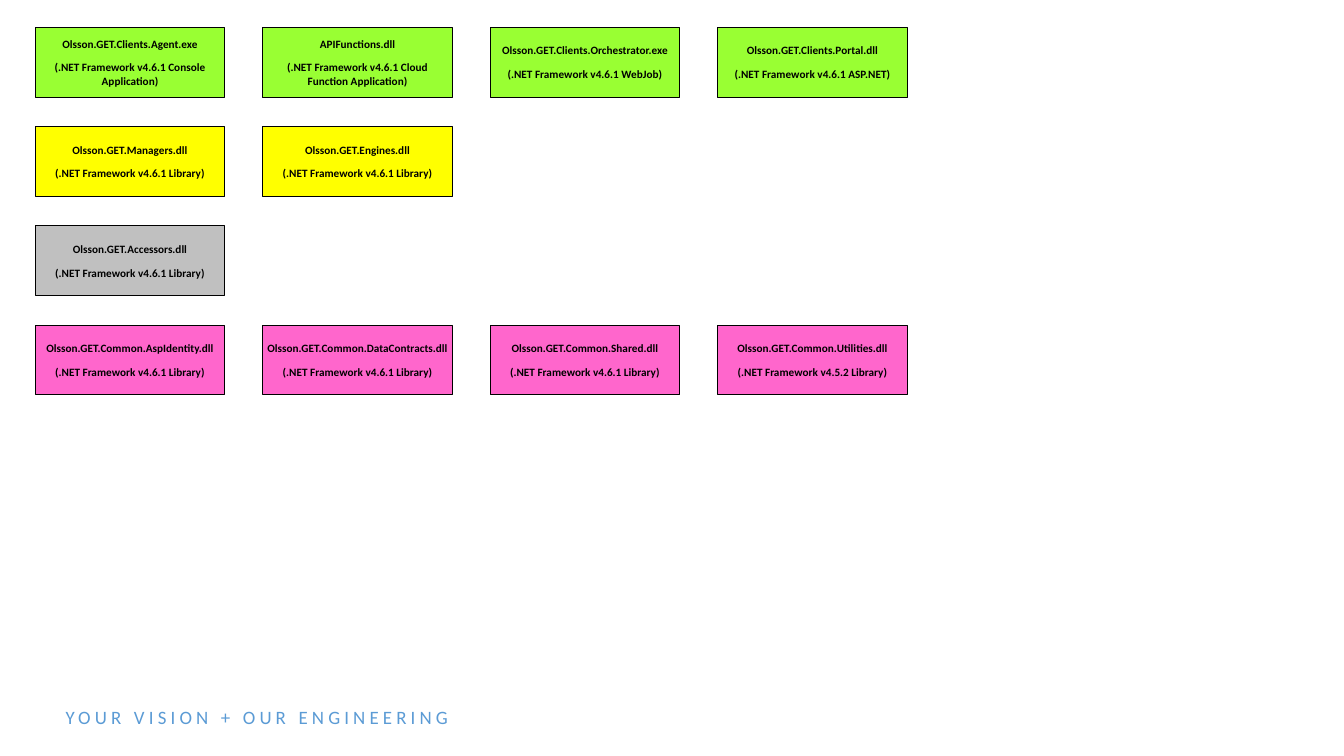
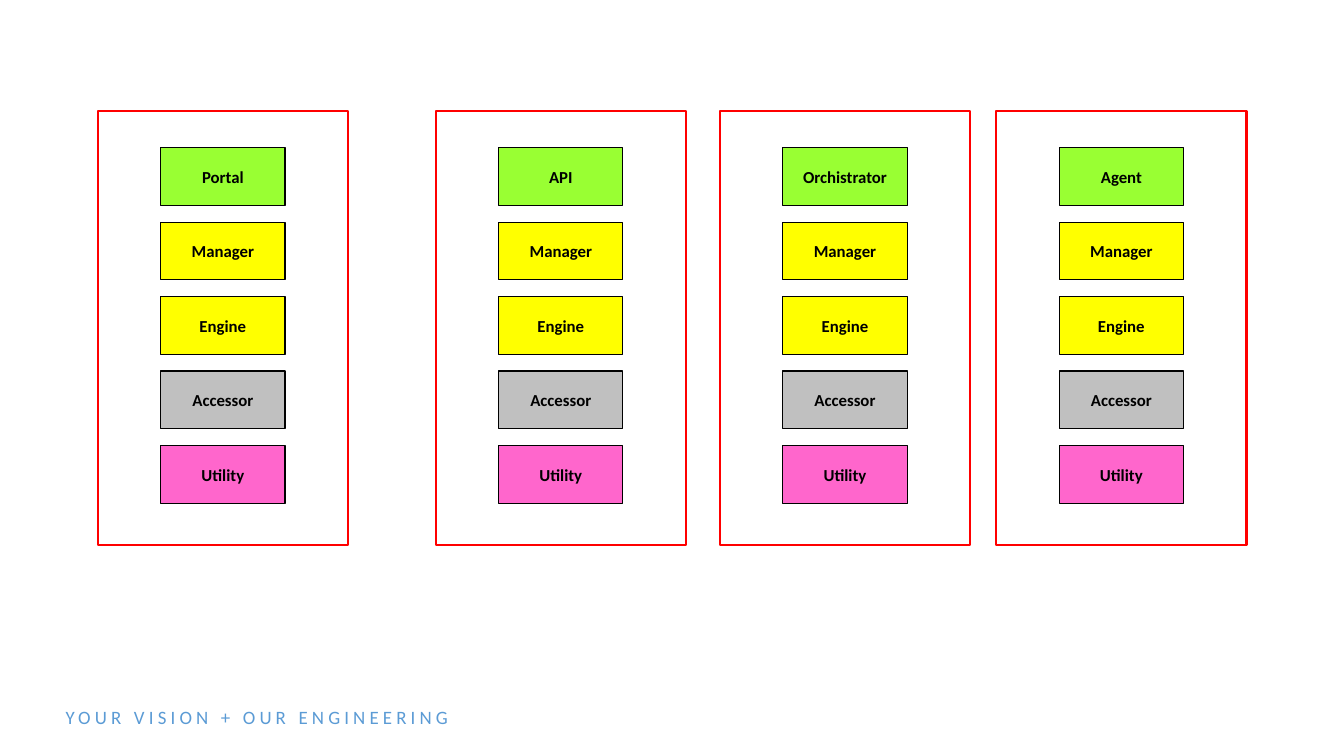
from dataclasses import dataclass

from pptx import Presentation
from pptx.dml.color import RGBColor
from pptx.enum.shapes import MSO_SHAPE as Preset
from pptx.enum.text import MSO_ANCHOR as Anchor, MSO_AUTO_SIZE as AutoSize, PP_ALIGN as Align
from pptx.shapes.autoshape import Shape
from pptx.shapes.shapetree import _BaseGroupShapes as ShapeTree
from pptx.slide import Slide
from pptx.text.text import _Paragraph as Paragraph
from pptx.util import Pt

GREEN = RGBColor(0x99, 0xFF, 0x33)
YELLOW = RGBColor(0xFF, 0xFF, 0x00)
GRAY = RGBColor(0xC0, 0xC0, 0xC0)
PINK = RGBColor(0xFF, 0x66, 0xCC)
BLACK = RGBColor(0x00, 0x00, 0x00)
RED = RGBColor(0xFF, 0x00, 0x00)
BLUE = RGBColor(0x5B, 0x9B, 0xD5)
FONT = "Calibri"
TAGLINE = "YOUR VISION + OUR ENGINEERING"
LIBRARY = "(.NET Framework v4.6.1 Library)"


@dataclass(frozen=True)
class Area:
    left: float
    top: float
    width: float
    height: float


@dataclass(frozen=True)
class Assembly:
    file_name: str
    target: str = LIBRARY


@dataclass(frozen=True)
class Layer:
    color: RGBColor
    assemblies: tuple[Assembly, ...]
    wrap: bool = True


@dataclass(frozen=True)
class Stack:
    client: str
    left: float


LAYERS = (
    Layer(GREEN, (
        Assembly("Olsson.GET.Clients.Agent.exe", "(.NET Framework v4.6.1 Console Application)"),
        Assembly("APIFunctions.dll", "(.NET Framework v4.6.1 Cloud Function Application)"),
        Assembly("Olsson.GET.Clients.Orchestrator.exe", "(.NET Framework v4.6.1 WebJob)"),
        Assembly("Olsson.GET.Clients.Portal.dll", "(.NET Framework v4.6.1 ASP.NET)"),
    )),
    Layer(YELLOW, (Assembly("Olsson.GET.Managers.dll"), Assembly("Olsson.GET.Engines.dll"))),
    Layer(GRAY, (Assembly("Olsson.GET.Accessors.dll"),)),
    Layer(PINK, (
        Assembly("Olsson.GET.Common.AspIdentity.dll"),
        Assembly("Olsson.GET.Common.DataContracts.dll"),
        Assembly("Olsson.GET.Common.Shared.dll"),
        Assembly("Olsson.GET.Common.Utilities.dll", "(.NET Framework v4.5.2 Library)"),
    ), wrap=False),
)
LAYER_GRID = Area(25.2, 19.6, 135.4, 49.8)
LAYER_COLUMN_STEP = 162.5
LAYER_ROW_STEP = 70.9

STACKS = (
    Stack("Portal", 69.8),
    Stack("API", 311.2),
    Stack("Orchistrator", 514.2),
    Stack("Agent", 711.6),
)
SHARED_PARTS = (("Manager", YELLOW), ("Engine", YELLOW), ("Accessor", GRAY), ("Utility", PINK))
FRAME_TOP, FRAME_WIDTH, FRAME_HEIGHT = 79.2, 178.8, 310.2
PART_TOP, PART_WIDTH, PART_HEIGHT, PART_STEP = 105.4, 88.8, 41.2, 53.2


def add_text(paragraph: Paragraph, text: str, size: float, color: RGBColor, bold: bool = False):
    run = paragraph.add_run()
    run.text = text
    run.font.name = FONT
    run.font.size = Pt(size)
    run.font.bold = bold
    run.font.color.rgb = color
    return run


def add_rectangle(shapes: ShapeTree, area: Area, line: RGBColor, weight: float) -> Shape:
    shape = shapes.add_shape(
        Preset.RECTANGLE, Pt(area.left), Pt(area.top), Pt(area.width), Pt(area.height)
    )
    shape.shadow.inherit = False
    shape.fill.background()
    shape.line.color.rgb = line
    shape.line.width = Pt(weight)
    return shape


def add_box(shapes: ShapeTree, area: Area, color: RGBColor, lines: tuple[str, ...],
            size: float, wrap: bool = True) -> None:
    shape = add_rectangle(shapes, area, BLACK, 0.75)
    shape.fill.solid()
    shape.fill.fore_color.rgb = color
    frame = shape.text_frame
    frame.word_wrap = wrap
    frame.vertical_anchor = Anchor.MIDDLE
    for index, text in enumerate(lines):
        paragraph = frame.add_paragraph() if index else frame.paragraphs[0]
        paragraph.alignment = Align.CENTER
        if index:
            paragraph.space_before = Pt(7.3)
        add_text(paragraph, text, size, BLACK, bold=True)


def add_tagline(slide: Slide) -> None:
    frame = slide.shapes.add_textbox(Pt(46.8), Pt(503.3), Pt(666), Pt(17.3)).text_frame
    frame.margin_left = frame.margin_top = frame.margin_right = frame.margin_bottom = 0
    frame.word_wrap = True
    frame.auto_size = AutoSize.SHAPE_TO_FIT_TEXT
    frame.vertical_anchor = Anchor.MIDDLE
    run = add_text(frame.paragraphs[0], TAGLINE, 13.5, BLUE)
    run._r.get_or_add_rPr().set("spc", "300")


def add_slide(presentation: Presentation) -> Slide:
    slide = presentation.slides.add_slide(presentation.slide_layouts[6])
    add_tagline(slide)
    return slide


def draw_layers(slide: Slide) -> None:
    for row, layer in enumerate(LAYERS):
        for column, assembly in enumerate(layer.assemblies):
            area = Area(
                LAYER_GRID.left + column * LAYER_COLUMN_STEP,
                LAYER_GRID.top + row * LAYER_ROW_STEP,
                LAYER_GRID.width,
                LAYER_GRID.height,
            )
            lines = (assembly.file_name, assembly.target)
            add_box(slide.shapes, area, layer.color, lines, 8, layer.wrap)


def draw_stack(slide: Slide, stack: Stack) -> None:
    shapes = slide.shapes.add_group_shape().shapes
    add_rectangle(shapes, Area(stack.left, FRAME_TOP, FRAME_WIDTH, FRAME_HEIGHT), RED, 1.5)
    part_left = stack.left + (FRAME_WIDTH - PART_WIDTH) / 2
    for index, (label, color) in enumerate(((stack.client, GREEN), *SHARED_PARTS)):
        area = Area(part_left, PART_TOP + index * PART_STEP, PART_WIDTH, PART_HEIGHT)
        add_box(shapes, area, color, (label,), 12)


def main() -> None:
    presentation = Presentation()
    presentation.slide_width = Pt(960)
    presentation.slide_height = Pt(540)
    draw_layers(add_slide(presentation))
    stack_slide = add_slide(presentation)
    for stack in STACKS:
        draw_stack(stack_slide, stack)
    presentation.save("out.pptx")


if __name__ == "__main__":
    main()
